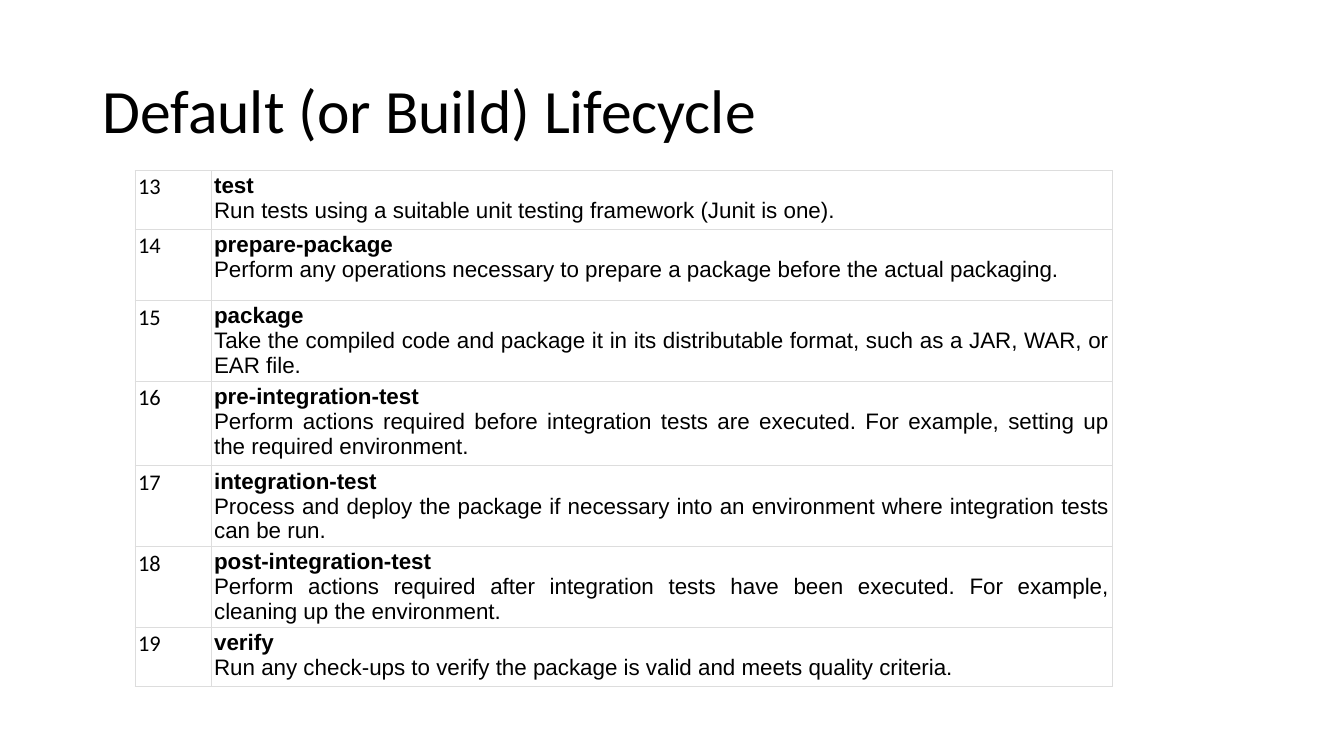
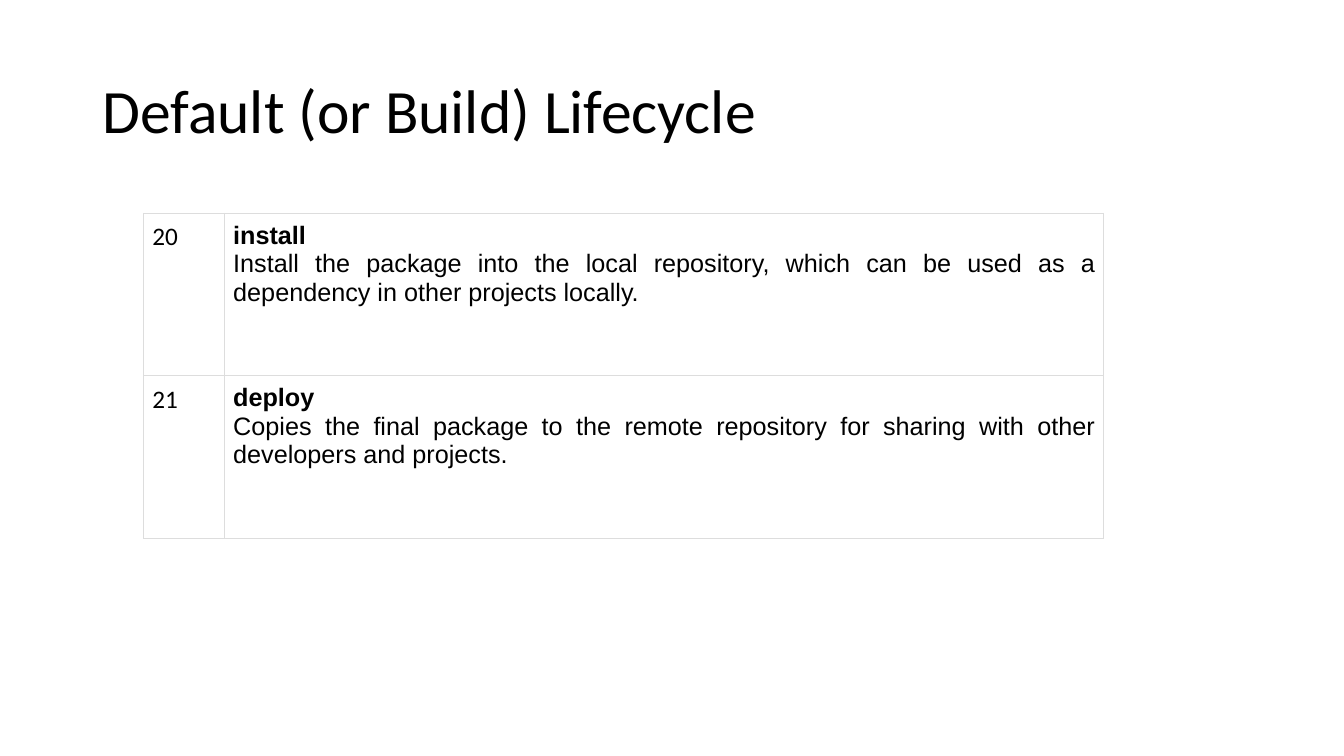
from dataclasses import dataclass

from lxml import etree
from pptx import Presentation
from pptx.dml.color import RGBColor
from pptx.enum import text
from pptx.oxml import ns
from pptx.util import Pt

TITLE = "Default (or Build) Lifecycle"
BLACK, WHITE, GREY = "000000", "FFFFFF", "DDDDDD"
HEAD_FONT, BODY_FONT = "Calibri", "Arial"
BORDER_WIDTH = 0.75


@dataclass
class Phase:
    number: int
    name: str
    description: str
    height: float


@dataclass
class PhaseTable:
    left: float
    top: float
    col_widths: tuple[float, float]
    size: float
    inset: float
    phases: list[Phase]


TABLES = [
    PhaseTable(96.5, 121.8, (54.3, 643.7), 16, 2.2, [
        Phase(13, "test",
              "Run tests using a suitable unit testing framework (Junit is one).", 42),
        Phase(14, "prepare-package",
              "Perform any operations necessary to prepare a package before the actual packaging.", 51),
        Phase(15, "package",
              "Take the compiled code and package it in its distributable format, "
              "such as a JAR, WAR, or EAR file.", 51),
        Phase(16, "pre-integration-test",
              "Perform actions required before integration tests are executed. "
              "For example, setting up the required environment.", 60.3),
        Phase(17, "integration-test",
              "Process and deploy the package if necessary into an environment "
              "where integration tests can be run.", 51),
        Phase(18, "post-integration-test",
              "Perform actions required after integration tests have been executed. "
              "For example, cleaning up the environment.", 51),
        Phase(19, "verify",
              "Run any check-ups to verify the package is valid and meets quality criteria.", 42),
    ]),
    PhaseTable(102.8, 152.4, (57.8, 627.8), 18, 6, [
        Phase(20, "install",
              "Install the package into the local repository, which can be used "
              "as a dependency in other projects locally.", 116),
        Phase(21, "deploy",
              "Copies the final package to the remote repository for sharing "
              "with other developers and projects.", 116),
    ]),
]


def rgb(value: str) -> RGBColor:
    return RGBColor.from_string(value)


def format_runs(p, font: str, size: float, bold: bool = False) -> None:
    for r in p.runs:
        r.font.name, r.font.size, r.font.bold = font, Pt(size), bold
        r.font.color.rgb = rgb(BLACK)


def add_borders(cell) -> None:
    tc_pr = cell._tc.get_or_add_tcPr()
    for side in ("lnL", "lnR", "lnT", "lnB"):
        ln = etree.SubElement(tc_pr, ns.qn(f"a:{side}"), w=str(Pt(BORDER_WIDTH)))
        fill = etree.SubElement(ln, ns.qn("a:solidFill"))
        etree.SubElement(fill, ns.qn("a:srgbClr"), val=GREY)


def style_cell(cell, inset: float) -> None:
    cell.margin_left = cell.margin_right = Pt(inset)
    cell.margin_top = cell.margin_bottom = Pt(inset)
    add_borders(cell)
    cell.fill.solid()
    cell.fill.fore_color.rgb = rgb(WHITE)


def add_title(s) -> None:
    sp = s.shapes.title
    sp.left, sp.top, sp.width, sp.height = Pt(66), Pt(28.75), Pt(828), Pt(104.4)
    tf = sp.text_frame
    tf.text = TITLE
    tf.vertical_anchor = text.MSO_ANCHOR.MIDDLE
    p = tf.paragraphs[0]
    p.alignment = text.PP_ALIGN.LEFT
    p.line_spacing = 0.9
    format_runs(p, HEAD_FONT, 44)


def add_phase_table(s, spec: PhaseTable) -> None:
    height = sum(phase.height for phase in spec.phases)
    table = s.shapes.add_table(
        len(spec.phases), len(spec.col_widths), Pt(spec.left), Pt(spec.top),
        Pt(sum(spec.col_widths)), Pt(height)).table
    table.first_row = table.horz_banding = False
    for column, width in zip(table.columns, spec.col_widths):
        column.width = Pt(width)
    for row, phase in zip(table.rows, spec.phases):
        row.height = Pt(phase.height)
        number, detail = row.cells
        number.text_frame.text = str(phase.number)
        format_runs(number.text_frame.paragraphs[0], HEAD_FONT, spec.size)
        detail.text_frame.text = f"{phase.name}\n{phase.description}"
        for p, bold in zip(detail.text_frame.paragraphs, (True, False)):
            p.alignment = text.PP_ALIGN.JUSTIFY
            format_runs(p, BODY_FONT, spec.size, bold)
        for cell in (number, detail):
            style_cell(cell, spec.inset)


def main() -> None:
    prs = Presentation()
    prs.slide_width, prs.slide_height = Pt(960), Pt(540)
    title_only = prs.slide_layouts.get_by_name("Title Only")
    for spec in TABLES:
        s = prs.slides.add_slide(title_only)
        add_title(s)
        add_phase_table(s, spec)
    prs.save("out.pptx")


if __name__ == "__main__":
    main()
